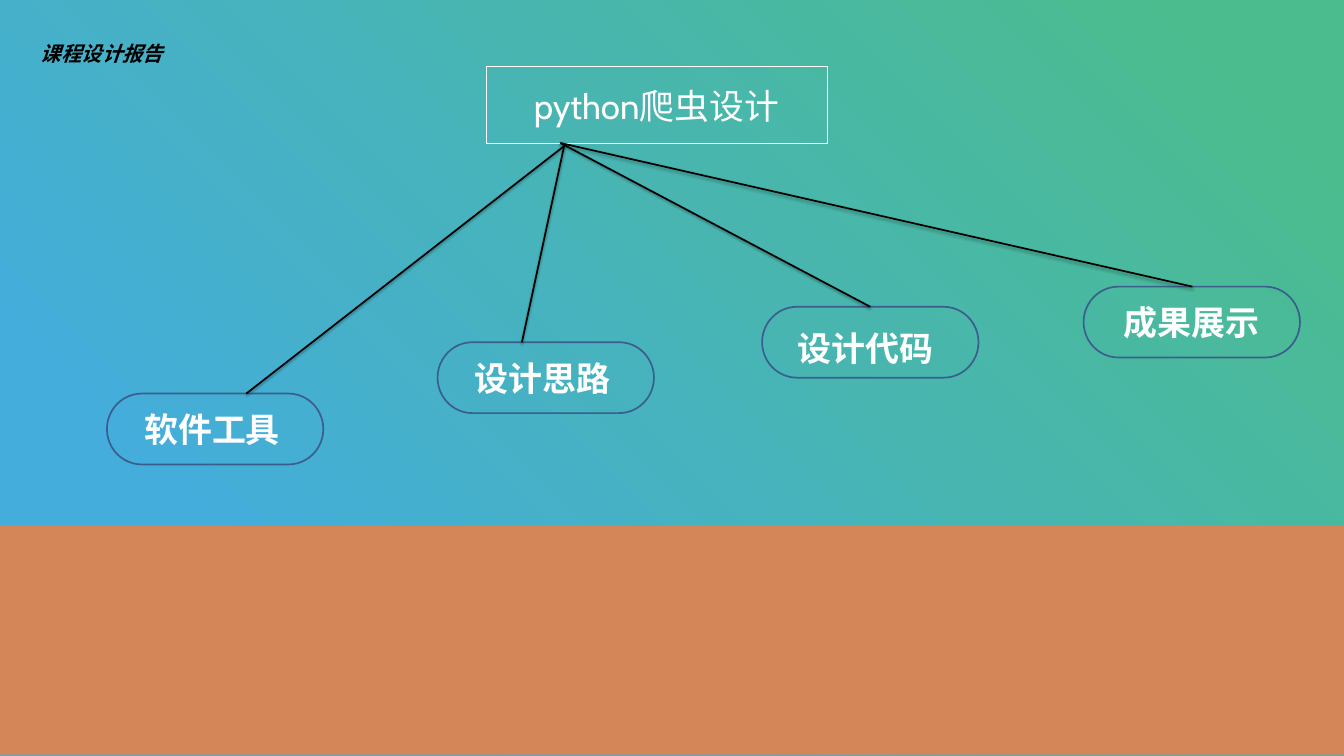
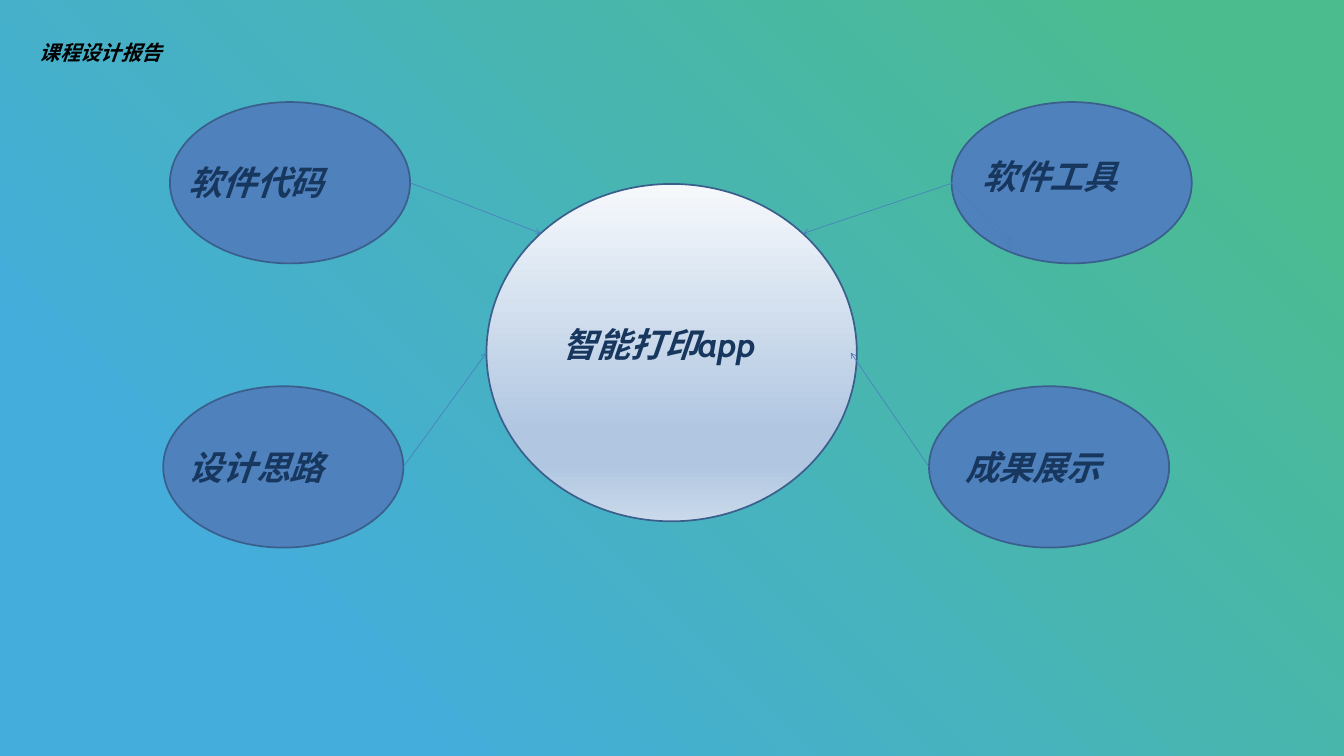
"""Build two mind-map slides for a course design report."""
from copy import deepcopy

from lxml import etree
from pptx import Presentation
from pptx import util as u
from pptx.dml.color import RGBColor
from pptx.enum import shapes, text
from pptx.oxml import ns

BLUE = RGBColor(0x44, 0xAD, 0xDB)
GREEN = RGBColor(0x4B, 0xBC, 0x8E)
CLAY = RGBColor(0xD5, 0x86, 0x59)
WHITE = RGBColor(0xFF, 0xFF, 0xFF)
BLACK = RGBColor(0x00, 0x00, 0x00)
NAVY = RGBColor(0x17, 0x37, 0x5E)
OUTLINE = RGBColor(0x3A, 0x5F, 0x8C)
BUBBLE = RGBColor(0x4F, 0x81, 0xBD)
ARROW = RGBColor(0x4B, 0x7E, 0xBC)
PALE = RGBColor(0xF6, 0xF9, 0xFC)
MIST = RGBColor(0xB0, 0xC6, 0xE1)
HAZE = RGBColor(0xCA, 0xD9, 0xEB)

BACKDROP = [(0.2, BLUE), (0.92, GREEN)]
HUB = [(0, PALE), (0.74, MIST), (0.83, MIST), (1, HAZE)]
LATIN, CJK = "Cabin", "Noto Sans CJK JP"
KIND = shapes.MSO_SHAPE


def add_xml(parent, tag, **attributes):
    return etree.SubElement(parent, ns.qn(tag), attributes)


class Deck:
    """Hold the shared style and the slide being drawn."""

    def __init__(self):
        self.prs = Presentation()
        self.prs.slide_width, self.prs.slide_height = u.Inches(21.99), u.Inches(12.37)
        master = self.prs.slide_master
        self.gradient(master.background.fill, master.element, BACKDROP, 45)

    def gradient(self, fill, owner, stops, angle):
        fill.gradient()
        fill.gradient_angle = angle
        stop_list = owner.find(".//" + ns.qn("a:gsLst"))
        for _ in stops[2:]:
            stop_list.append(deepcopy(stop_list[-1]))
        for stop, (position, color) in zip(fill.gradient_stops, stops):
            stop.position = position
            stop.color.rgb = color

    def new_slide(self, header_left, header_top):
        self.slide = self.prs.slides.add_slide(self.prs.slide_layouts[6])
        self.header_at = header_left, header_top, 3.64, 0.4

    def header(self):
        self.label("课程设计报告", *self.header_at, size=24, name=CJK,
                   color=BLACK, italic=True)

    def shape(self, kind, left, top, width, height, fill=None, line=None, weight=2):
        shape = self.slide.shapes.add_shape(
            kind, *map(u.Inches, (left, top, width, height)))
        shape.shadow.inherit = False
        if isinstance(fill, list):
            self.gradient(shape.fill, shape.element, fill, 270)
        elif fill is not None:
            shape.fill.solid()
            shape.fill.fore_color.rgb = fill
        else:
            shape.fill.background()
        if line is not None:
            shape.line.color.rgb = line
            shape.line.width = u.Pt(weight)
        else:
            shape.line.fill.background()

    def label(self, words, left, top, width=3.34, height=0.67, size=40, name=LATIN,
              color=WHITE, bold=True, italic=False, align=text.PP_ALIGN.LEFT):
        box = self.slide.shapes.add_textbox(
            *map(u.Inches, (left, top, width, height)))
        frame = box.text_frame
        frame.word_wrap = True
        frame.margin_left = frame.margin_right = 0
        frame.margin_top = frame.margin_bottom = 0
        paragraph = frame.paragraphs[0]
        paragraph.text = words
        paragraph.alignment = align
        font = paragraph.font
        font.size, font.name = u.Pt(size), name
        font.bold, font.italic = bold, italic
        font.color.rgb = color
        add_xml(box.element.find(".//" + ns.qn("a:defRPr")), "a:ea", typeface=name)

    def link(self, start, end, color, weight, arrow=False, shadow=False):
        link = self.slide.shapes.add_connector(
            shapes.MSO_CONNECTOR.STRAIGHT, *map(u.Inches, (*start, *end)))
        link.line.color.rgb = color
        link.line.width = u.Pt(weight)
        properties = link.element.spPr
        if arrow:
            add_xml(properties.find(ns.qn("a:ln")), "a:tailEnd", type="arrow")
        effects = add_xml(properties, "a:effectLst")
        if shadow:
            outer = add_xml(effects, "a:outerShdw", blurRad=str(u.Pt(3.1)),
                            dist=str(u.Pt(1.6)), dir="5400000", rotWithShape="0")
            tint = add_xml(outer, "a:srgbClr", val=str(BLACK))
            add_xml(tint, "a:alpha", val="38000")


def topic_tree(deck):
    deck.new_slide(0.67, 0.68)
    deck.shape(KIND.RECTANGLE, 0, 8.6, 21.99, 3.75, fill=CLAY)
    deck.shape(KIND.RECTANGLE, 7.95, 1.09, 5.58, 1.26, line=WHITE, weight=0.82)
    deck.label("python爬虫设计", 7.99, 1.39, 5.5, 0.74, size=41, bold=False,
               align=text.PP_ALIGN.CENTER)
    deck.header()
    left_root, right_root = (9.23, 2.39), (9.17, 2.34)
    topics = [
        ("软件工具", (2.36, 6.69), (1.75, 6.44), left_root, 4.03),
        ("设计思路", (7.77, 5.85), (7.16, 5.6), left_root, 8.54),
        ("设计代码", (13.05, 5.36), (12.47, 5.02), right_root, 14.24),
        ("成果展示", (18.39, 4.93), (17.73, 4.69), right_root, 19.51),
    ]
    for words, words_at, pill_at, root, branch_x in topics:
        deck.label(words, *words_at, width=2.6)
        deck.shape(KIND.FLOWCHART_TERMINATOR, *pill_at, 3.54, 1.16, line=OUTLINE)
        deck.link(root, (branch_x, pill_at[1]), BLACK, 2, shadow=True)


def app_hub(deck):
    deck.new_slide(0.65, 0.66)
    deck.shape(KIND.OVAL, 7.96, 3.01, 6.06, 5.52, fill=HUB, line=OUTLINE)
    deck.label("智能打印app", 9.2, 5.29, color=NAVY, italic=True)
    topics = [
        ("软件代码", (3.08, 2.65), (2.78, 1.67)),
        ("设计思路", (3.08, 7.31), (2.67, 6.32)),
        ("软件工具", (16.07, 2.54), (15.57, 1.67)),
        ("成果展示", (15.79, 7.31), (15.2, 6.32)),
    ]
    for _, _, bubble_at in topics:
        deck.shape(KIND.OVAL, *bubble_at, 3.93, 2.64, fill=BUBBLE, line=OUTLINE)
    arrows = [
        ((6.71, 2.99), (8.85, 3.82)),
        ((6.6, 7.64), (7.96, 5.77)),
        ((15.57, 2.99), (16.56, 4.08)),
        ((15.57, 2.99), (16.56, 3.95)),
        ((15.6, 2.99), (13.14, 3.82)),
        ((15.2, 7.64), (13.92, 5.77)),
    ]
    for start, end in arrows:
        deck.link(start, end, ARROW, 0.75, arrow=True)
    for words, words_at, _ in topics:
        deck.label(words, *words_at, color=NAVY, italic=True)
    deck.header()


def main():
    deck = Deck()
    topic_tree(deck)
    app_hub(deck)
    deck.prs.save("out.pptx")


if __name__ == "__main__":
    main()
